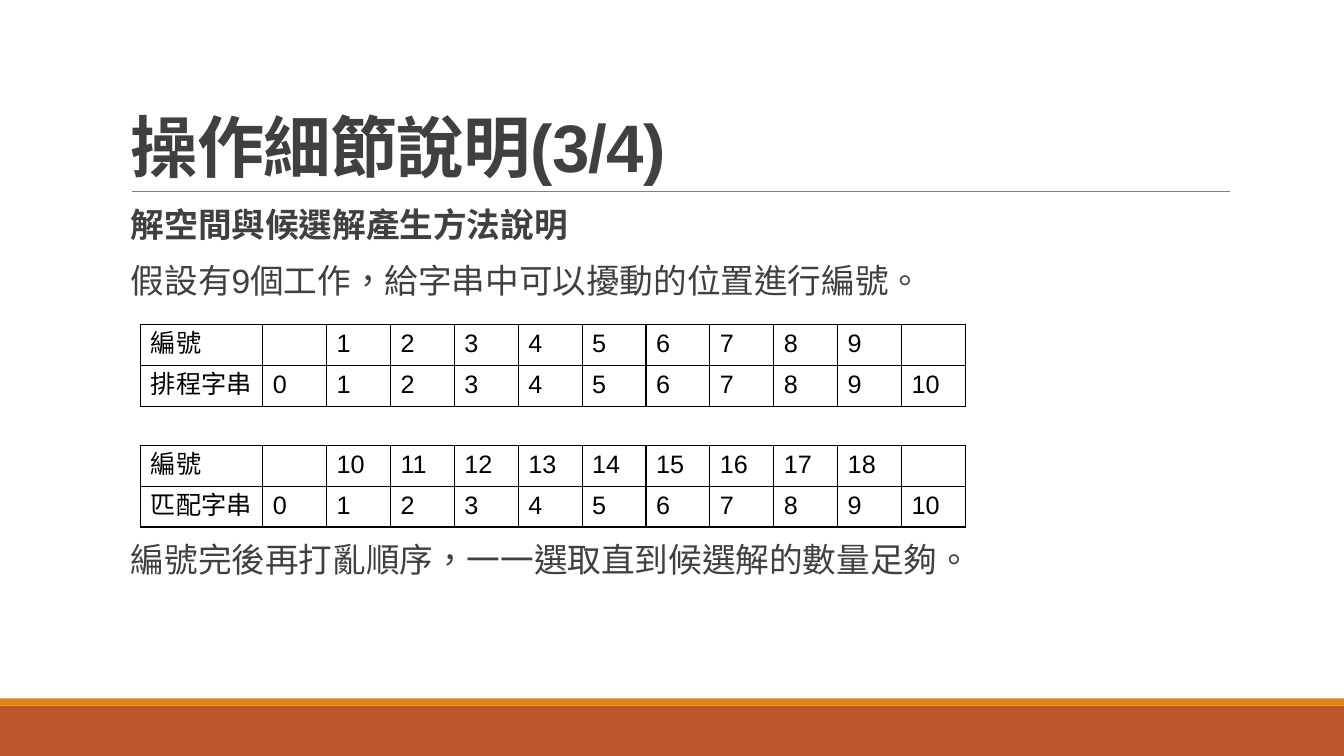
from lxml.etree import SubElement
from pptx import Presentation
from pptx.dml.color import RGBColor
from pptx.enum.shapes import MSO_CONNECTOR, MSO_SHAPE
from pptx.enum.text import MSO_ANCHOR
from pptx.oxml import parse_xml
from pptx.oxml.ns import nsdecls, qn
from pptx.util import Cm, Pt

RUST = RGBColor(0xBD, 0x58, 0x2C)
ORANGE = RGBColor(0xE4, 0x83, 0x12)
GREY = RGBColor(0x80, 0x80, 0x80)
DARK = RGBColor(0x40, 0x40, 0x40)
BLACK = RGBColor(0, 0, 0)
FONT = "Arial"
PAGE_WIDTH = 33.87
PAGE_HEIGHT = 19.05
JOBS = 9


def format_paragraph(para, size, colour, bold=False, tracking=0):
    """Style every run; tracking is in hundredths of a point."""
    for span in para.runs:
        span.font.size = Pt(size)
        span.font.bold = bold
        span.font.color.rgb = colour
        span.font.name = FONT
        properties = span._r.get_or_add_rPr()
        properties.set("lang", "zh-TW")
        if tracking:
            properties.set("spc", str(tracking))
        SubElement(properties, qn("a:ea")).set("typeface", FONT)


def add_band(page, top, height, colour):
    band = page.shapes.add_shape(MSO_SHAPE.RECTANGLE, 0, Cm(top), Cm(PAGE_WIDTH), Cm(height))
    band.shadow.inherit = False
    band.fill.solid()
    band.fill.fore_color.rgb = colour
    band.line.fill.background()


def add_rule(page, left, right, top):
    rule = page.shapes.add_connector(MSO_CONNECTOR.STRAIGHT, Cm(left), Cm(top), Cm(right), Cm(top))
    rule.line.color.rgb = GREY
    rule.line.width = Pt(0.5)
    SubElement(rule._element.spPr, qn("a:effectLst"))


def add_title(page, text):
    box = page.shapes.add_textbox(Cm(3.05), Cm(0.79), Cm(27.94), Cm(4.04))
    frame = box.text_frame
    frame.word_wrap = True
    frame.vertical_anchor = MSO_ANCHOR.BOTTOM
    frame.text = text
    para = frame.paragraphs[0]
    para.line_spacing = 0.85
    format_paragraph(para, 48, DARK, bold=True, tracking=-50)


def add_body(page, top, height, lines):
    """Write (text, bold) lines in one text box."""
    box = page.shapes.add_textbox(Cm(3.3), Cm(top), Cm(27.69), Cm(height))
    frame = box.text_frame
    frame.word_wrap = True
    frame.margin_left = frame.margin_right = 0
    frame.text = "\n".join(text for text, bold in lines)
    for para, (text, bold) in zip(frame.paragraphs, lines):
        para.line_spacing = 0.9
        para.space_before = Pt(12)
        para.space_after = Pt(2)
        format_paragraph(para, 24, DARK, bold)


def add_borders(cell):
    properties = cell._tc.get_or_add_tcPr()
    for position, side in enumerate(("lnL", "lnR", "lnT", "lnB")):
        border = parse_xml(
            f'<a:{side} {nsdecls("a")} w="{Pt(1)}"><a:solidFill>'
            f'<a:srgbClr val="{BLACK}"/></a:solidFill></a:{side}>'
        )
        properties.insert(position, border)


def add_number_table(page, top, label, first_number):
    """Number the movable places of a string, whose two ends stay fixed."""
    numbers = range(first_number, first_number + JOBS)
    rows = [["編號", "", *numbers, ""], [label, *range(JOBS + 2)]]
    columns = len(rows[0])
    frame = page.shapes.add_table(
        len(rows), columns, Cm(3.55), Cm(top), Cm(3.07 + 1.61 * (columns - 1)), Cm(2.06)
    )
    table = frame.table
    table.first_row = False
    table.horz_banding = False
    for index, column in enumerate(table.columns):
        column.width = Cm(1.61 if index else 3.07)
    for row, values in zip(table.rows, rows):
        for cell, value in zip(row.cells, values):
            cell.text = str(value)
            cell.fill.background()
            add_borders(cell)
            format_paragraph(cell.text_frame.paragraphs[0], 18, BLACK)


def main():
    deck = Presentation()
    deck.slide_width = Cm(PAGE_WIDTH)
    deck.slide_height = Cm(PAGE_HEIGHT)
    page = deck.slides.add_slide(deck.slide_layouts[6])

    add_band(page, 17.78, 1.27, RUST)
    add_band(page, 17.6, 0.18, ORANGE)
    add_rule(page, 3.32, 31, 4.82)
    add_title(page, "操作細節說明(3/4)")
    add_body(page, 5.13, 2.8, [
        ("解空間與候選解產生方法說明", True),
        ("假設有9個工作，給字串中可以擾動的位置進行編號。", False),
    ])
    add_number_table(page, 8.18, "排程字串", 1)
    add_number_table(page, 11.22, "匹配字串", JOBS + 1)
    add_body(page, 13.57, 1.3, [("編號完後再打亂順序，一一選取直到候選解的數量足夠。", False)])

    deck.save("out.pptx")


if __name__ == "__main__":
    main()
